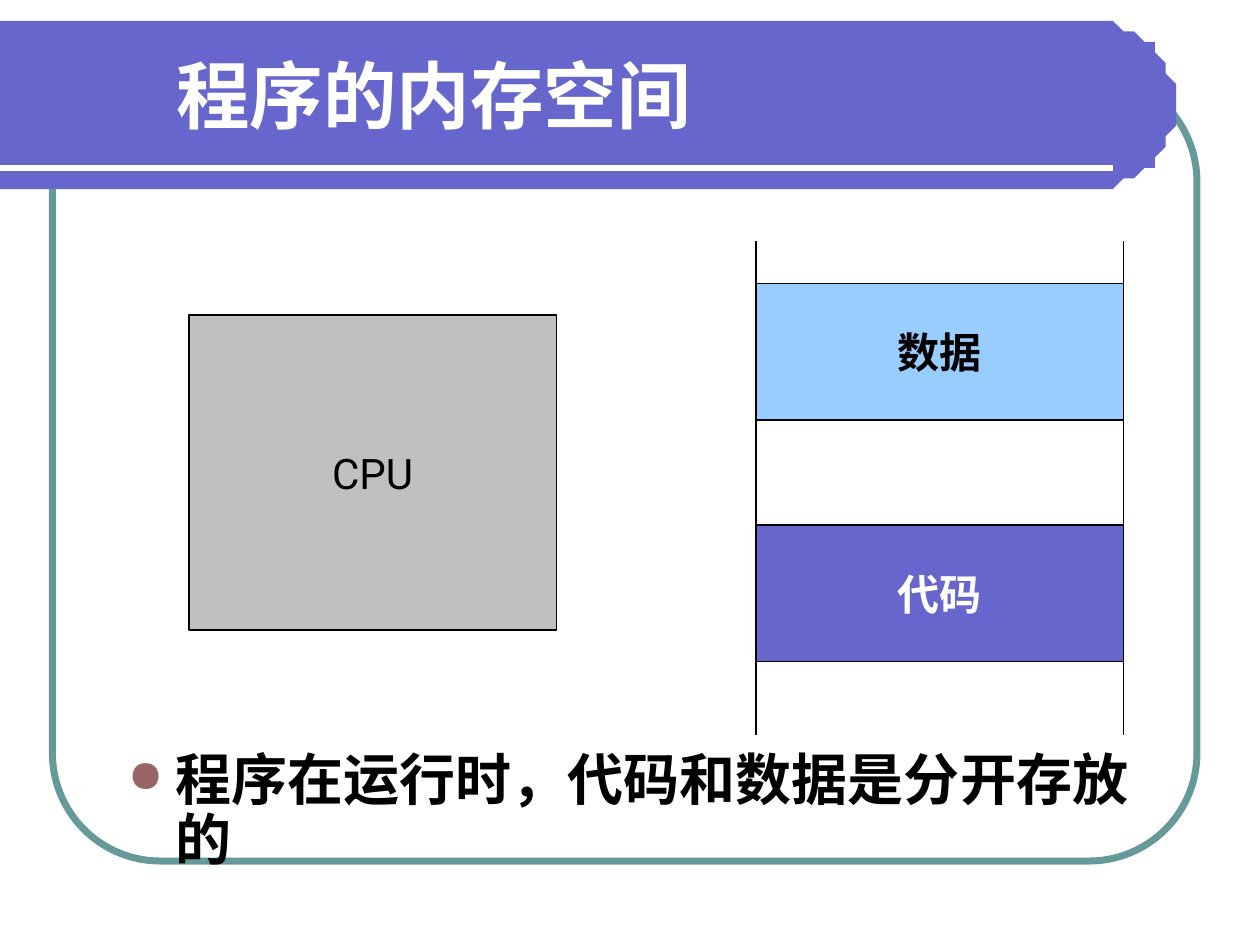
import math
from lxml import etree
from pptx import Presentation
from pptx import util as u
from pptx.dml.color import RGBColor
from pptx.enum import shapes, text
from pptx.oxml import ns

WHITE = RGBColor(0xFF, 0xFF, 0xFF)
BLACK = RGBColor(0, 0, 0)
VIOLET = RGBColor(0x66, 0x66, 0xCC)
TEAL = RGBColor(0x66, 0x99, 0x99)
GREY = RGBColor(0xC0, 0xC0, 0xC0)
SKY = RGBColor(0x99, 0xCC, 0xFF)

deck = Presentation()
deck.slide_width, deck.slide_height = u.Inches(10), u.Inches(7.5)
slide = deck.slides.add_slide(deck.slide_layouts[6])
pool = slide.shapes
UNIT = deck.slide_width // 120  # the grid has 120 columns and 90 rows


def rule(x1, y1, x2, y2, color, width):
    """Draw a straight line between two grid points."""
    line = pool.add_connector(shapes.MSO_CONNECTOR.STRAIGHT,
                              *[n * UNIT for n in (x1, y1, x2, y2)])
    line.line.color.rgb = color
    line.line.width = u.Pt(width)
    etree.SubElement(line._element.spPr, ns.qn("a:effectLst"))


def write(shape, words, size, face, color, bold, anchor):
    """Put one formatted paragraph in a shape and return it."""
    frame = shape.text_frame
    frame.text = words
    frame.vertical_anchor = anchor
    para = frame.paragraphs[0]
    font = para.runs[0].font
    font.size, font.name, font.bold = u.Pt(size), face, bold
    font.color.rgb = color
    return para


# Round frame behind the banner
frame = pool.add_shape(shapes.MSO_SHAPE.ROUNDED_RECTANGLE,
                       5 * UNIT, 7 * UNIT, 109 * UNIT, 75 * UNIT)
frame.adjustments[0] = 0.137
frame.shadow.inherit = False
frame.fill.background()
frame.line.color.rgb = TEAL
frame.line.width = u.Pt(4)

# Banner: flat on the left, a half circle on the right
mid_x, mid_y, radius = 104, 10, 8
arc = [(mid_x + radius * math.cos(math.radians(a)),
        mid_y + radius * math.sin(math.radians(a))) for a in range(-90, 91, 3)]
pen = pool.build_freeform(0, 2, scale=UNIT)
pen.add_line_segments(arc + [(0, 18)], close=True)
banner = pen.convert_to_shape()
banner.shadow.inherit = False
banner.fill.solid()
banner.fill.fore_color.rgb = VIOLET
banner.line.fill.background()
rule(0, 16, 106, 16, WHITE, 3)

# Title
title = pool.add_textbox(15.6 * UNIT, 3 * UNIT, 92 * UNIT, 12 * UNIT)
title.text_frame.word_wrap = True
write(title, "程序的内存空间", 42, "Arial", WHITE, True, text.MSO_ANCHOR.MIDDLE)

# Bullet
body = pool.add_textbox(11 * UNIT, 71 * UNIT, 102 * UNIT, 13.5 * UNIT)
body.text_frame.word_wrap = True
para = write(body, "程序在运行时，代码和数据是分开存放的", 32, "Arial", BLACK, True,
             text.MSO_ANCHOR.TOP)
props = para._p.get_or_add_pPr()
props.set("marL", str(u.Inches(0.38)))
props.set("indent", str(-u.Inches(0.38)))
tint = etree.SubElement(props, ns.qn("a:buClr"))
etree.SubElement(tint, ns.qn("a:srgbClr"), val="996666")
etree.SubElement(props, ns.qn("a:buSzPct"), val="80000")
etree.SubElement(props, ns.qn("a:buChar"), char="●")
para.line_spacing = 0.9

# Processor and memory blocks
blocks = [
    ("CPU", 18, 30, 30, GREY, BLACK, False),
    ("数据", 72, 27, 13, SKY, BLACK, True),
    ("代码", 72, 50, 13, VIOLET, WHITE, True),
]
for words, col, row, rows, fill, ink, bold in blocks:
    block = pool.add_shape(shapes.MSO_SHAPE.RECTANGLE,
                           col * UNIT, row * UNIT, 35 * UNIT, rows * UNIT)
    block.shadow.inherit = False
    block.fill.solid()
    block.fill.fore_color.rgb = fill
    block.line.color.rgb = BLACK
    block.line.width = u.Pt(0.75)
    block.text_frame.word_wrap = False
    para = write(block, words, 24, "Roboto", ink, bold, text.MSO_ANCHOR.MIDDLE)
    para.alignment = text.PP_ALIGN.CENTER

# Sides of the memory column
for col in (72, 72 + 35):
    rule(col, 23, col, 70, BLACK, 0.75)

deck.save("out.pptx")
